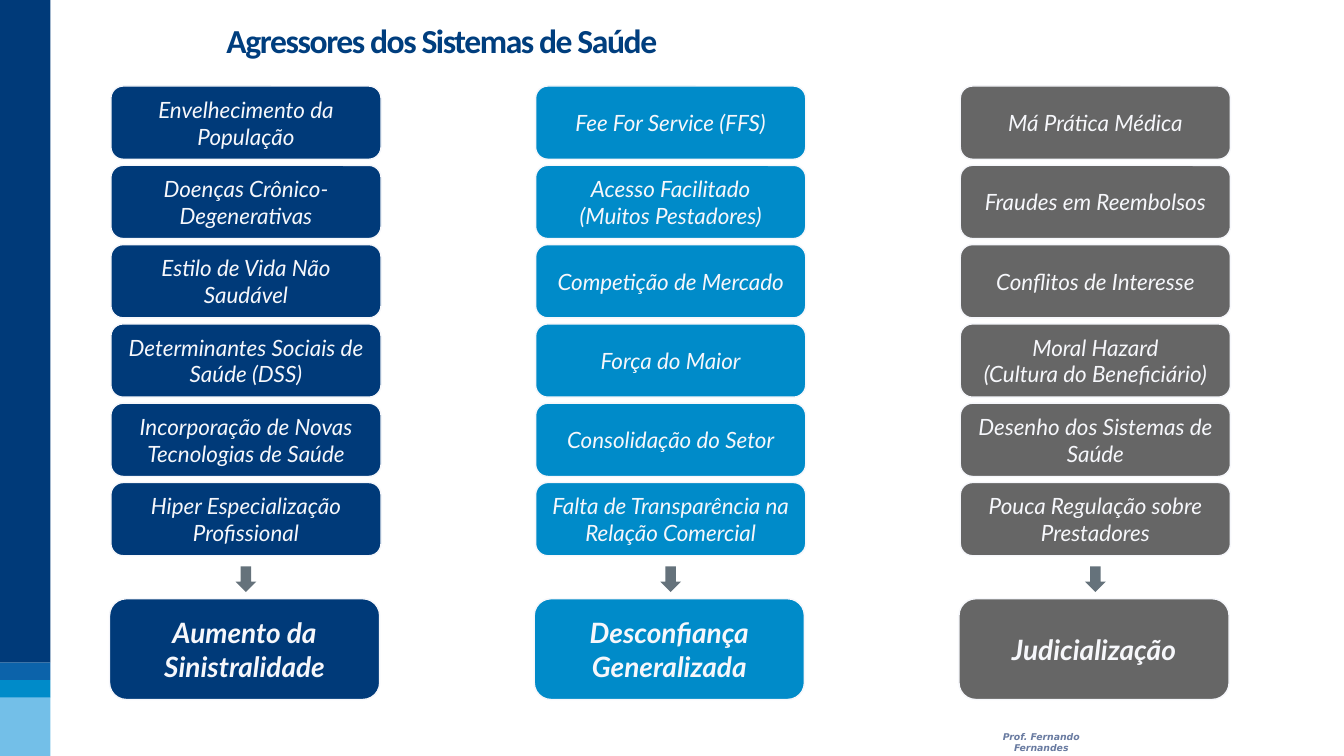
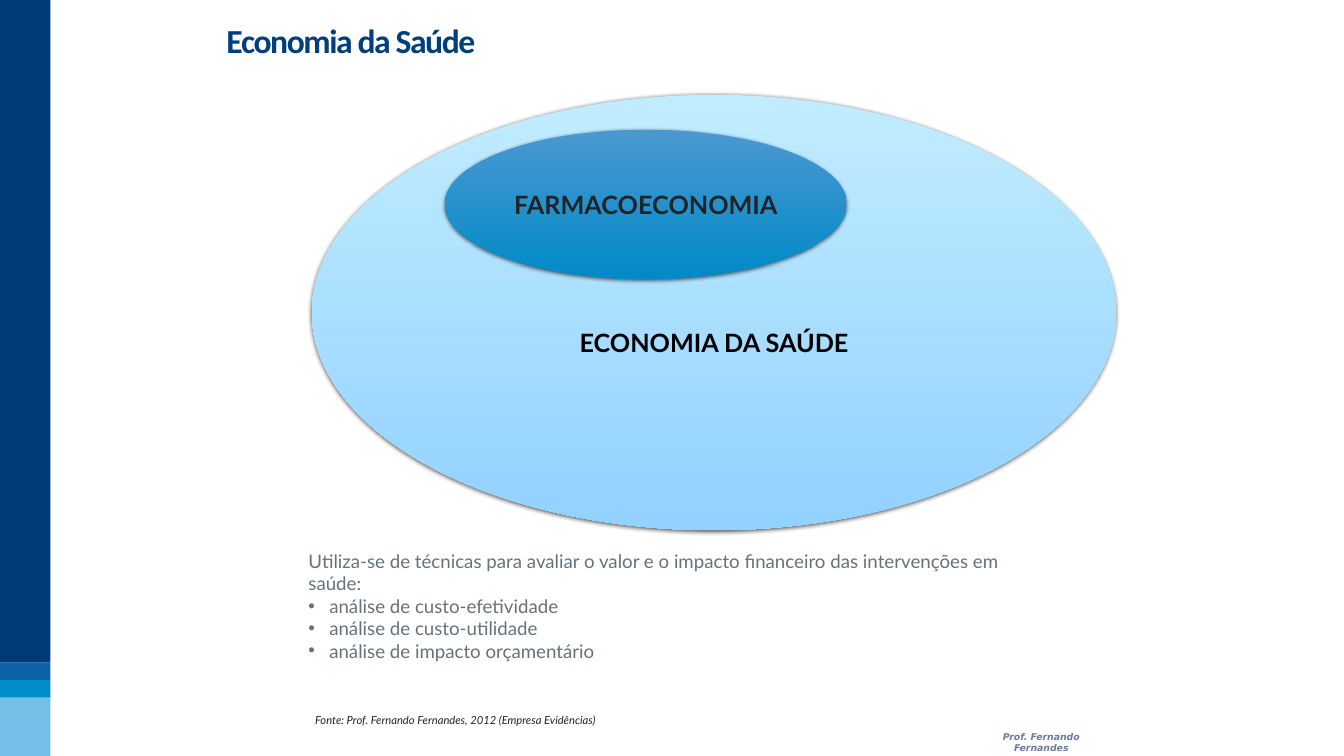
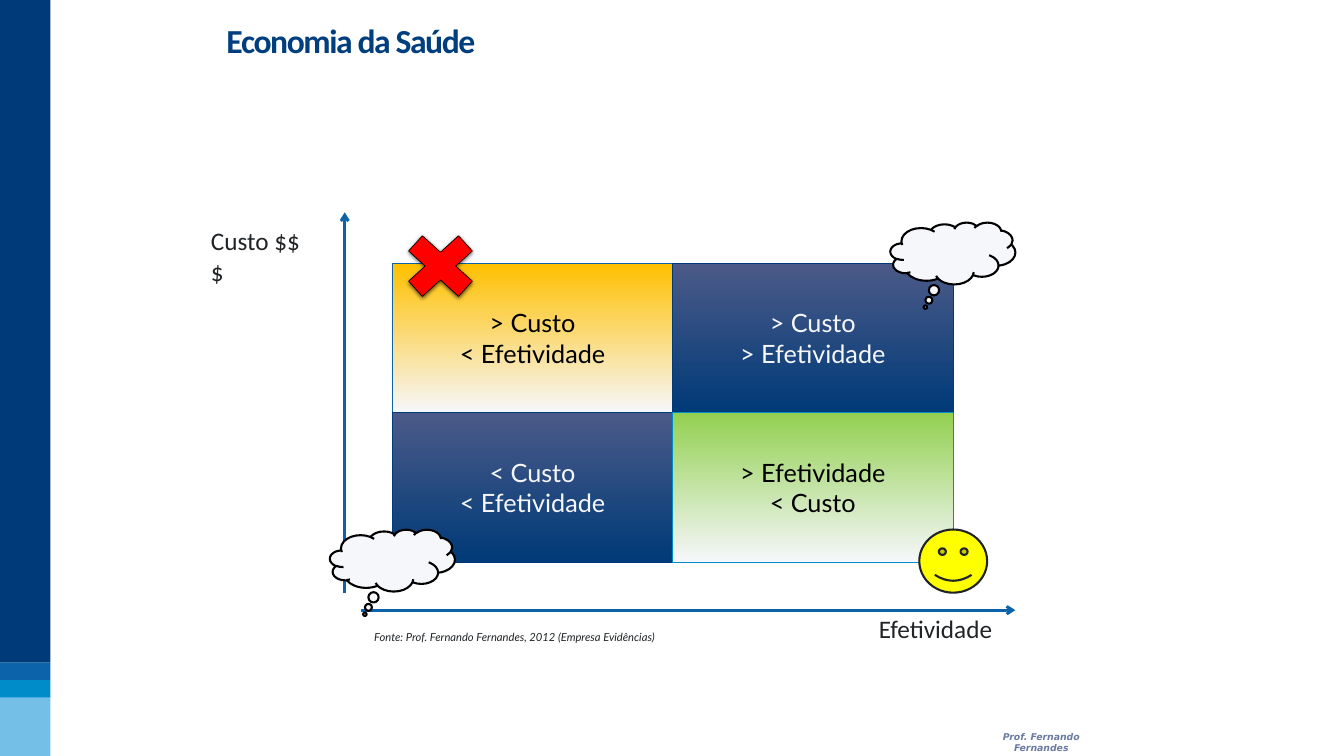
"""Builds three slides on health economics and the pressures on health systems."""
from lxml.etree import SubElement
from pptx import Presentation
from pptx.dml.color import RGBColor
from pptx.enum.shapes import MSO_CONNECTOR, MSO_SHAPE as Shape
from pptx.enum.text import MSO_ANCHOR as Anchor, MSO_AUTO_SIZE as Fit, PP_ALIGN as Align
from pptx.oxml.ns import qn
from pptx.util import Inches, Pt

NAVY, BLUE, CYAN, SKY = "003A79", "0C63AA", "008BC9", "73BFE8"
GRAY, SLATE, PALE, INK, BLACK = "666666", "65727B", "F6F7FB", "202427", "000000"
rgb = RGBColor.from_string


def draw(slide, kind, box, fill, line=None, width=0, shadow=False):
    """Add a preset shape; a pair of colours gives a downward gradient."""
    shape = slide.shapes.add_shape(kind, *map(Inches, box))
    shape.shadow.inherit = False
    if isinstance(fill, tuple):
        shape.fill.gradient()
        shape.fill.gradient_angle = 270
        for stop, color in zip(shape.fill.gradient_stops, fill):
            stop.color.rgb = rgb(color)
    else:
        shape.fill.solid()
        shape.fill.fore_color.rgb = rgb(fill)
    if line:
        shape.line.color.rgb = rgb(line)
        shape.line.width = Pt(width)
    else:
        shape.line.fill.background()
    if shadow:
        effects = shape.element.spPr.find(qn("a:effectLst"))
        outer = SubElement(effects, qn("a:outerShdw"), blurRad=str(Pt(4.5)), dist=str(Pt(1.5)),
                           dir="5400000", algn="ctr", rotWithShape="0")
        SubElement(SubElement(outer, qn("a:srgbClr"), val=BLACK), qn("a:alpha"), val="63000")
    return shape


def write(shape, text, size, color, font="Lato", bold=False, italic=False,
          align=Align.CENTER, anchor=Anchor.MIDDLE, fit=Fit.NONE):
    """Fill a shape with paragraphs that share one format."""
    frame = shape.text_frame
    frame.text = text
    frame.word_wrap, frame.auto_size, frame.vertical_anchor = True, fit, anchor
    for paragraph in frame.paragraphs:
        paragraph.alignment = align
        style = paragraph.font
        style.name, style.size, style.bold, style.italic = font, Pt(size), bold, italic
        style.color.rgb = rgb(color)


prs = Presentation()
prs.slide_width, prs.slide_height = Inches(20), Inches(11.25)
TITLE_AND_BODY, TITLE_ONLY = prs.slide_layouts[1], prs.slide_layouts[5]
note = dict(align=Align.LEFT, anchor=Anchor.TOP, fit=Fit.SHAPE_TO_FIT_TEXT)

slides = []
for heading, layout, width in [("Agressores dos Sistemas de Saúde", TITLE_ONLY, 7.68),
                               ("Economia da Saúde", TITLE_AND_BODY, 13.5),
                               ("Economia da Saúde", TITLE_ONLY, 13.5)]:
    slide = prs.slides.add_slide(layout)
    title = slide.shapes.title
    title.left, title.top, title.width, title.height = map(Inches, (3.27, 0.31, width, 1.98))
    write(title, heading, 36, "003E7E", "Calibri", bold=True, align=Align.LEFT, anchor=Anchor.TOP)
    title.text_frame.paragraphs[0].line_spacing = 0.9
    title.element.xpath(".//a:defRPr")[0].set("spc", "-150")
    author = slide.shapes.add_textbox(*map(Inches, (14.55, 10.83, 1.89, 0.27)))
    write(author, "Prof. Fernando Fernandes", 10, "002060", "DejaVu Sans", bold=True, italic=True,
          anchor=Anchor.TOP, fit=Fit.SHAPE_TO_FIT_TEXT)
    SubElement(author.element.xpath(".//a:srgbClr")[0], qn("a:alpha"), val="59000")
    slides.append(slide)
pressures, pharmaco, quadrants = slides

master_tree = prs.slide_master.shapes.element
for i, (top, height, color) in enumerate([(10.37, 0.88, SKY), (0, 9.86, NAVY),
                                          (9.86, 0.26, BLUE), (10.12, 0.26, CYAN)]):
    band = draw(pressures, Shape.RECTANGLE, (-0.01, top, 0.76, height), color)
    band.element.nvSpPr.cNvPr.set("id", str(100 + i))
    master_tree.insert(2 + i, band.element)

COL_LEFT, COL_STEP, COL_WIDTH = 1.65, 6.32, 4.02
ROW_TOP, ROW_STEP, ROW_HEIGHT = 1.28, 1.18, 1.09
columns = [
    (NAVY, "Aumento da\nSinistralidade",
     ["Envelhecimento da População", "Doenças Crônico-Degenerativas",
      "Estilo de Vida Não Saudável", "Determinantes Sociais de Saúde (DSS)",
      "Incorporação de Novas Tecnologias de Saúde", "Hiper Especialização Profissional"]),
    (CYAN, "Desconfiança Generalizada",
     ["Fee For Service (FFS)", "Acesso Facilitado\n(Muitos Pestadores)",
      "Competição de Mercado", "Força do Maior",
      "Consolidação do Setor", "Falta de Transparência na Relação Comercial"]),
    (GRAY, "Judicialização",
     ["Má Prática Médica", "Fraudes em Reembolsos",
      "Conflitos de Interesse", "Moral Hazard\n(Cultura do Beneficiário)",
      "Desenho dos Sistemas de Saúde", "Pouca Regulação sobre Prestadores"]),
]
for col, (color, outcome, causes) in enumerate(columns):
    left = COL_LEFT + col * COL_STEP
    for row, cause in enumerate(causes):
        box = (left, ROW_TOP + row * ROW_STEP, COL_WIDTH, ROW_HEIGHT)
        cause_box = draw(pressures, Shape.ROUNDED_RECTANGLE, box, color, PALE, 1.5)
        write(cause_box, cause, 24, PALE, italic=True)
    draw(pressures, Shape.DOWN_ARROW, (left + COL_WIDTH / 2 - 0.155, 8.43, 0.31, 0.38), SLATE)
    outcome_box = draw(pressures, Shape.ROUNDED_RECTANGLE, (left - 0.02, 8.91, COL_WIDTH, 1.5),
                       color, PALE, 1.5)
    write(outcome_box, outcome, 30, PALE, bold=True, italic=True)

economy = draw(pharmaco, Shape.OVAL, (4.64, 1.41, 11.97, 6.48), ("C1ECFF", "93D1FF"), shadow=True)
write(economy, "ECONOMIA DA SAÚDE", 27, BLACK, bold=True)
economy.text_frame.margin_top = Inches(0.95)
pharmacy = draw(pharmaco, Shape.OVAL, (6.62, 1.93, 5.98, 2.22), ("4B98D0", "008AC8"), shadow=True)
write(pharmacy, "FARMACOECONOMIA", 27, INK, bold=True)

techniques = pharmaco.placeholders[1]
techniques.left, techniques.top, techniques.width, techniques.height = map(
    Inches, (4.49, 8.13, 10.65, 1.77))
techniques.text_frame.text = "\n".join([
    "Utiliza-se de técnicas para avaliar o valor e o impacto financeiro das intervenções em saúde:",
    "análise de custo-efetividade", "análise de custo-utilidade", "análise de impacto orçamentário"])
techniques.text_frame.auto_size = Fit.NONE
for i, paragraph in enumerate(techniques.text_frame.paragraphs):
    indent = Inches(0.31) if i else 0
    props = paragraph._p.get_or_add_pPr()
    props.set("marL", str(indent))
    props.set("indent", str(-indent))
    if i:
        SubElement(SubElement(props, qn("a:buClr")), qn("a:srgbClr"), val=SLATE)
        SubElement(props, qn("a:buFont"), typeface="Arial")
        SubElement(props, qn("a:buChar"), char="•")
    else:
        SubElement(props, qn("a:buNone"))
    paragraph.space_before = Pt(0)
    paragraph.font.name, paragraph.font.size = "Lato", Pt(20)
    paragraph.font.color.rgb = rgb(SLATE)

GRID_LEFT, GRID_TOP, CELL_WIDTH, CELL_HEIGHT = 5.84, 3.92, 4.17, 2.22
dusk = ("4B5A88", "003A78")
cells = [("> Custo\n< Efetividade", ("FFC000", PALE), BLUE, BLACK),
         ("> Custo\n> Efetividade", dusk, NAVY, PALE),
         ("< Custo\n< Efetividade", dusk, NAVY, PALE),
         ("> Efetividade\n< Custo", ("92D050", PALE), CYAN, BLACK)]
for i, (text, fill, line, color) in enumerate(cells):
    row, col = divmod(i, 2)
    box = (GRID_LEFT + col * CELL_WIDTH, GRID_TOP + row * CELL_HEIGHT, CELL_WIDTH, CELL_HEIGHT)
    write(draw(quadrants, Shape.RECTANGLE, box, fill, line, 0.5), text, 27, color)

for ends in [(5.13, 8.83, 5.13, 3.16), (5.37, 9.08, 15.11, 9.08)]:
    axis = quadrants.shapes.add_connector(MSO_CONNECTOR.STRAIGHT, *map(Inches, ends))
    axis.line.color.rgb = rgb(BLUE)
    axis.line.width = Pt(3)
    SubElement(axis.element.spPr.find(qn("a:ln")), qn("a:tailEnd"), type="arrow")
    SubElement(axis.element.spPr, qn("a:effectLst"))
for label, box in [("Custo $$$", (3.04, 3.31, 1.71, 0.55)),
                   ("Efetividade", (12.98, 9.08, 2.1, 0.55))]:
    write(quadrants.shapes.add_textbox(*map(Inches, box)), label, 27, INK, "Calibri", **note)

draw(quadrants, Shape.MATH_MULTIPLY, (GRID_LEFT, 3.31, 1.43, 1.3), "FF0000", BLACK, 0, shadow=True)
draw(quadrants, Shape.SMILEY_FACE, (13.68, 7.88, 1.01, 0.94), "FFFF00", INK, 2.25)
for left, top in [(13.25, 3.31), (4.91, 7.88)]:
    doubt = draw(quadrants, Shape.CLOUD_CALLOUT, (left, top, 1.86, 0.92), PALE, BLACK, 2.25)
    doubt.adjustments[0], doubt.adjustments[1] = -0.22, 0.87

for slide, left, top in [(pharmaco, 4.59, 10.57), (quadrants, 5.47, 9.33)]:
    source = slide.shapes.add_textbox(*map(Inches, (left, top, 4.65, 0.3)))
    write(source, "Fonte: Prof. Fernando Fernandes, 2012 (Empresa Evidências)", 12, INK,
          italic=True, **note)

prs.save("out.pptx")
